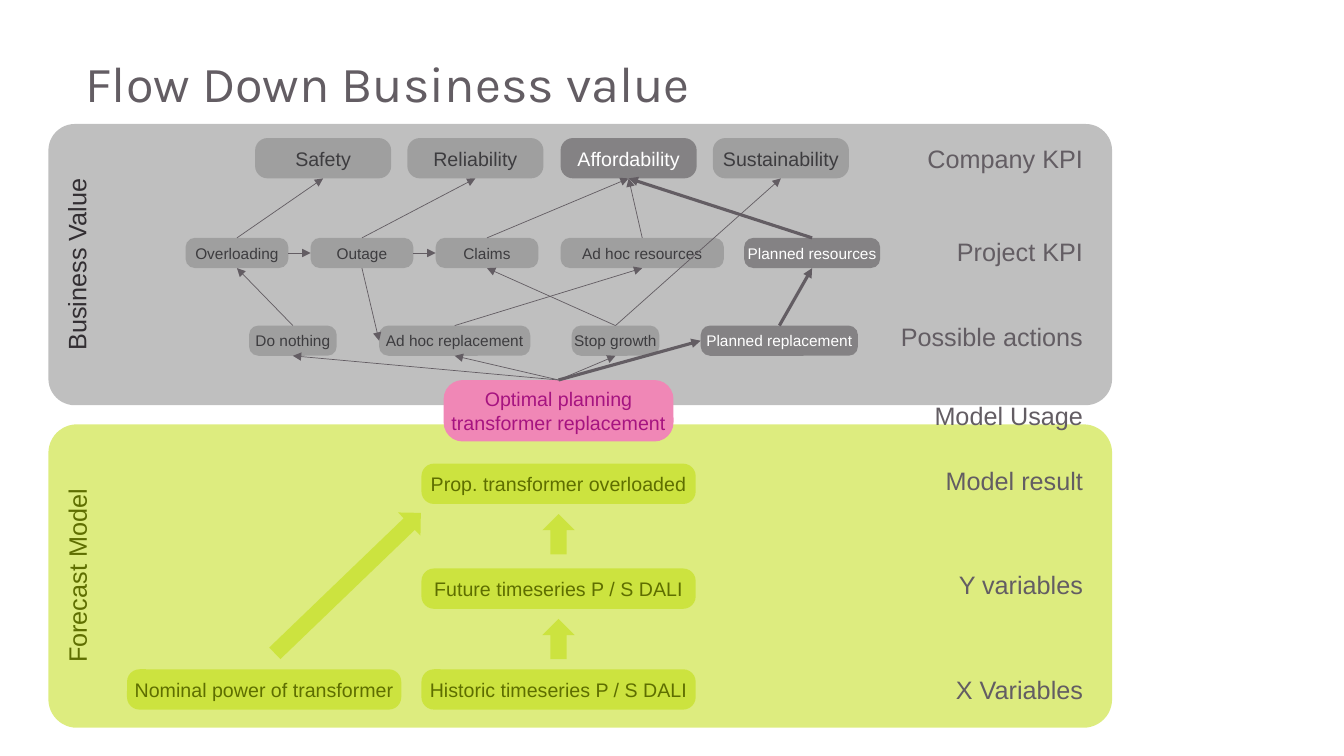
import lxml.etree
import pptx
import pptx.dml.color
import pptx.enum.shapes
import pptx.enum.text
import pptx.oxml.ns
import pptx.util

Inches = pptx.util.Inches
SHAPE = pptx.enum.shapes.MSO_SHAPE
ALIGN = pptx.enum.text.PP_ALIGN
ANCHOR = pptx.enum.text.MSO_ANCHOR

GREY, DARK_GREY, LIME, PINK = "808080", "4A464A", "BDDB00", "F087B6"
TEXT, NODE_TEXT, LIME_TEXT, PINK_TEXT = "635D63", "3D3C3F", "5E6E00", "A61380"
PANEL_LEFT, PANEL_WIDTH = 0.48, 10.55
TOP, LEFT, BOTTOM, RIGHT = range(4)

KPI_ROWS = [
    (0.14, 0.4, 14, [("Safety", 2.05, 1.35), ("Reliability", 3.56, 1.35),
                     ("Affordability", 5.08, 1.35), ("Sustainability", 6.59, 1.35)]),
    (1.13, 0.3, 11, [("Overloading", 1.36, 1.02), ("Outage", 2.6, 1.02),
                     ("Claims", 3.84, 1.02), ("Ad hoc resources", 5.08, 1.62),
                     ("Planned resources", 6.9, 1.35)]),
    (2.0, 0.3, 11, [("Do nothing", 1.99, 0.87), ("Ad hoc replacement", 3.28, 1.5),
                    ("Stop growth", 5.19, 0.87), ("Planned replacement", 6.47, 1.56)]),
]
HIGHLIGHTED = {"Affordability", "Planned resources", "Planned replacement"}
USAGE = "Optimal planning transformer replacement"
LINKS = [
    ("Overloading", TOP, "Safety", BOTTOM),
    ("Outage", TOP, "Reliability", BOTTOM),
    ("Claims", TOP, "Affordability", BOTTOM),
    ("Ad hoc resources", TOP, "Affordability", BOTTOM),
    ("Planned resources", TOP, "Affordability", BOTTOM),
    ("Stop growth", TOP, "Sustainability", BOTTOM),
    ("Overloading", RIGHT, "Outage", LEFT),
    ("Outage", RIGHT, "Claims", LEFT),
    ("Outage", BOTTOM, "Ad hoc replacement", LEFT),
    ("Do nothing", TOP, "Overloading", BOTTOM),
    ("Stop growth", TOP, "Claims", BOTTOM),
    ("Ad hoc replacement", TOP, "Ad hoc resources", BOTTOM),
    ("Planned replacement", TOP, "Planned resources", BOTTOM),
    (USAGE, TOP, "Do nothing", BOTTOM),
    (USAGE, TOP, "Ad hoc replacement", BOTTOM),
    (USAGE, TOP, "Stop growth", BOTTOM),
    (USAGE, TOP, "Planned replacement", LEFT),
]
LEVELS = [("Company KPI", 1.37, 1.76), ("Project KPI", 2.29, 1.46),
          ("Possible actions", 3.14, 2.03), ("Model Usage", 3.92, 1.69),
          ("Model result", 4.57, 1.58), ("Y variables", 5.6, 1.45),
          ("X Variables", 6.64, 1.47)]


def color(value):
    """Turn a hex string into a colour."""
    return pptx.dml.color.RGBColor.from_string(value)


def write(shape, text, size, text_color, alignment, font="Arial"):
    """Set the text of a shape and format it."""
    shape.text_frame.text = text
    paragraph = shape.text_frame.paragraphs[0]
    paragraph.alignment = alignment
    run_font = paragraph.runs[0].font
    run_font.name, run_font.size = font, pptx.util.Pt(size)
    run_font.color.rgb = color(text_color)
    return paragraph


def add_block(slide, kind, box, fill, opacity=50):
    """Add a borderless filled shape in the given box."""
    shape = slide.shapes.add_shape(kind, *map(Inches, box))
    shape.shadow.inherit = False
    shape.line.fill.background()
    shape.fill.solid()
    shape.fill.fore_color.rgb = color(fill)
    if opacity < 100:
        fill_color = shape.fill._xPr.find(".//" + pptx.oxml.ns.qn("a:srgbClr"))
        alpha = lxml.etree.SubElement(fill_color, pptx.oxml.ns.qn("a:alpha"))
        alpha.set("val", str(opacity * 1000))
    return shape


def add_node(slide, text, box, size, fill, text_color, opacity=50, wrap=False):
    """Add a rounded box with centred text."""
    node = add_block(slide, SHAPE.ROUNDED_RECTANGLE, box, fill, opacity)
    node.adjustments[0] = 0.31
    frame = node.text_frame
    frame.margin_left = frame.margin_right = frame.margin_top = frame.margin_bottom = 0
    frame.vertical_anchor = ANCHOR.MIDDLE
    frame.word_wrap = wrap
    write(node, text, size, text_color, ALIGN.CENTER)
    return node


def add_panel(slide, text, top, height, fill, text_color):
    """Add a large rounded panel with a sideways heading at its left edge."""
    box = (PANEL_LEFT, top, PANEL_WIDTH, height)
    panel = add_block(slide, SHAPE.ROUNDED_RECTANGLE, box, fill)
    panel.adjustments[0] = 0.094
    panel.text_frame.vertical_anchor = ANCHOR.TOP
    panel.text_frame._txBody.bodyPr.set("vert", "vert270")
    write(panel, text, 18, text_color, ALIGN.CENTER)


def add_link(slide, start, start_site, end, end_site, width):
    """Connect two nodes with an arrow."""
    link = slide.shapes.add_connector(pptx.enum.shapes.MSO_CONNECTOR.STRAIGHT, 0, 0, 0, 0)
    link.begin_connect(start, start_site)
    link.end_connect(end, end_site)
    link.line.color.rgb = color(TEXT)
    link.line.width = pptx.util.Pt(width)
    outline = link.line._get_or_add_ln()
    lxml.etree.SubElement(outline, pptx.oxml.ns.qn("a:tailEnd")).set("type", "triangle")
    lxml.etree.SubElement(link._element.spPr, pptx.oxml.ns.qn("a:effectLst"))


def add_title(slide, left, top, width, height):
    """Add the slide title."""
    title = slide.shapes.add_textbox(*map(Inches, (left, top, width, height)))
    title.text_frame.word_wrap = True
    paragraph = write(title, "Flow Down Business value", 36, TEXT, ALIGN.LEFT, "Karla")
    paragraph.line_spacing = 0.9


def add_business_value(slide, left, top, height):
    """Add the panel of KPIs and actions and return its nodes by name."""
    add_panel(slide, "Business Value", top, height, GREY, "322E32")
    nodes = {}
    for row_top, row_height, size, entries in KPI_ROWS:
        for text, offset, width in entries:
            colors = (DARK_GREY, "FFFFFF") if text in HIGHLIGHTED else (GREY, NODE_TEXT)
            box = (left + offset, top + row_top, width, row_height)
            nodes[text] = add_node(slide, text, box, size, *colors)
    return nodes


def add_forecast_model(slide, left, top, height):
    """Add the panel that leads from the variables to the model result."""
    add_panel(slide, "Forecast Model", top, height, LIME, LIME_TEXT)
    for text, offset, row_top in [("Prop. transformer overloaded", 3.7, 0.39),
                                  ("Future timeseries P / S DALI", 3.7, 1.43),
                                  ("Historic timeseries P / S DALI", 3.7, 2.43),
                                  ("Nominal power of transformer", 0.78, 2.43)]:
        box = (left + offset, top + row_top, 2.72, 0.4)
        add_node(slide, text, box, 14, LIME, LIME_TEXT)
    for offset, arrow_top, length, rotation in [(4.9, 0.89, 0.4, 0), (4.9, 1.93, 0.4, 0),
                                                (2.81, 0.57, 2.01, 46.1)]:
        box = (left + offset, top + arrow_top, 0.32, length)
        add_block(slide, SHAPE.UP_ARROW, box, LIME).rotation = rotation


def add_levels(slide, right):
    """Add the level names, aligned at the right edge."""
    for text, top, width in LEVELS:
        label = slide.shapes.add_textbox(*map(Inches, (right - width, top, width, 0.4)))
        label.text_frame.word_wrap = False
        label.text_frame.vertical_anchor = ANCHOR.MIDDLE
        write(label, text, 18, TEXT, ALIGN.RIGHT).space_after = pptx.util.Pt(6)


def main():
    """Build and save the slide."""
    presentation = pptx.Presentation()
    presentation.slide_width, presentation.slide_height = Inches(13.33), Inches(7.5)
    slide = presentation.slides.add_slide(presentation.slide_layouts[6])
    add_title(slide, 0.75, 0.54, 11.82, 0.95)
    add_forecast_model(slide, PANEL_LEFT, 4.21, 3.01)
    nodes = add_business_value(slide, PANEL_LEFT, 1.23, 2.79)
    nodes[USAGE] = add_node(slide, USAGE, (4.4, 3.77, 2.28, 0.61), 14, PINK, PINK_TEXT,
                            opacity=100, wrap=True)
    for start, start_site, end, end_site in LINKS:
        main_route = end in HIGHLIGHTED and start in HIGHLIGHTED | {USAGE}
        add_link(slide, nodes[start], start_site, nodes[end], end_site,
                 2.25 if main_route else 0.5)
    add_levels(slide, 10.84)
    presentation.save("out.pptx")


if __name__ == "__main__":
    main()
